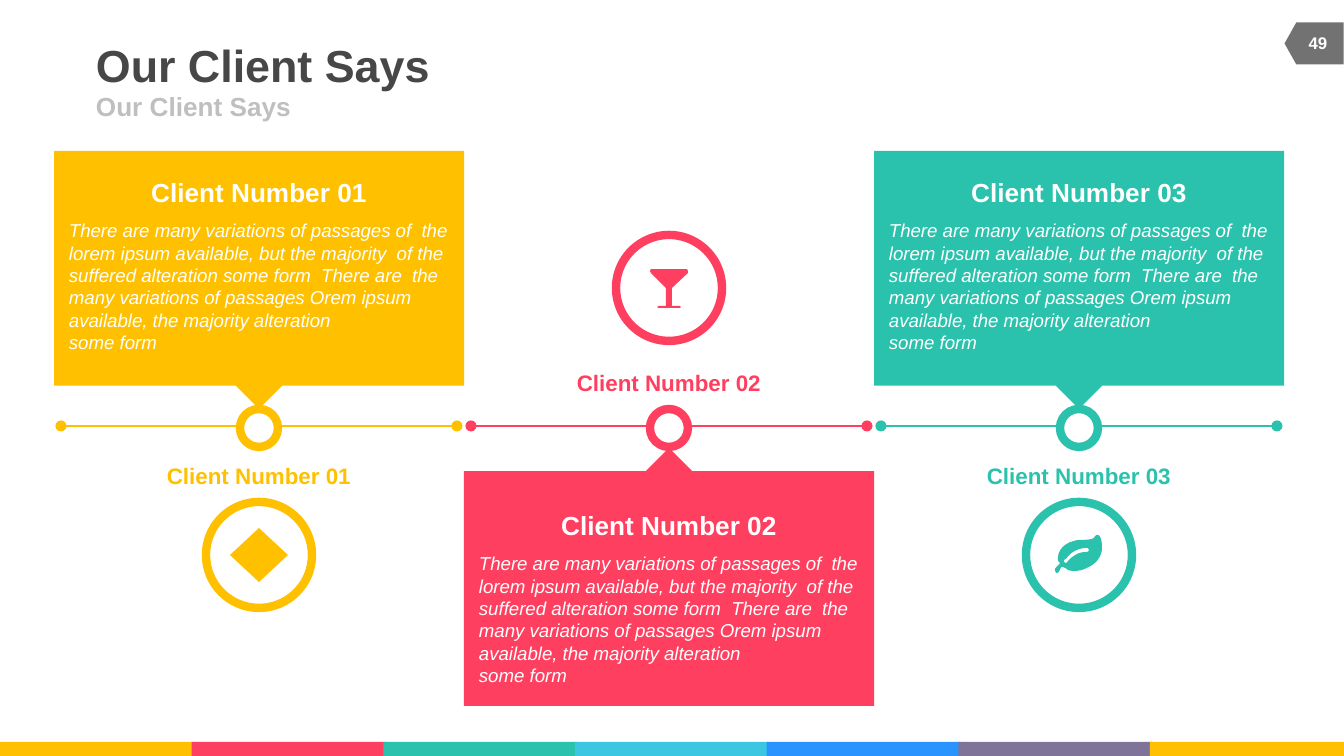
from pptx import Presentation
from pptx.dml.color import RGBColor
from pptx.enum.shapes import MSO_CONNECTOR, MSO_SHAPE
from pptx.enum.text import MSO_ANCHOR, PP_ALIGN
from pptx.oxml.ns import qn
from pptx.util import Pt
from lxml.etree import SubElement

SCALE = 914400 / 134.4
YELLOW, RED, TEAL, WHITE = "FFC000", "FF3F5F", "2AC2AC", "FFFFFF"
BAR_COLORS = [YELLOW, RED, TEAL, "3BC7E2", "2993FF", "7F739A", YELLOW]
QUOTE = (
    "There are many variations of passages of  the lorem ipsum available, "
    "but the majority  of the suffered alteration some form  There are  the "
    "many variations of passages Orem ipsum available, the majority alteration "
    "\vsome form"
)
GLASS = [(1, 0), (37, 0), (38, 2), (38, 4), (22, 19), (22, 37), (30, 37), (31, 38),
         (30, 39), (9, 39), (7, 38), (9, 37), (16, 37), (16, 19), (1, 4), (0, 2)]
LEAF_EDGE = [
    (47, 15), (46, 23), (41, 29), (32, 33), (28, 35), (24, 36), (20, 36),
    (18, 36), (15, 36), (13, 35), (12, 34), (9, 32), (7, 32),
    (5, 32), (5, 38), (2, 38), (1, 38), (0, 36), (0, 35),
    (0, 32), (5, 30), (5, 28), (5, 28), (3, 26), (3, 25),
    (3, 24), (3, 24), (3, 23), (3, 15), (10, 8), (19, 6),
    (24, 4), (35, 6), (39, 3), (40, 1), (41, 0), (43, 0),
    (46, 0), (47, 8), (47, 10), (47, 12), (47, 13), (47, 15),
]
LEAF_VEIN = [
    (32, 13), (23, 13), (16, 17), (11, 24), (10, 24), (9, 25), (9, 26),
    (9, 27), (10, 28), (11, 28), (12, 28), (13, 26), (15, 24),
    (21, 19), (25, 17), (32, 17), (33, 17), (34, 16), (34, 15),
    (34, 14), (33, 13), (32, 13),
]


def px(*values):
    """Turn px lengths into a list of EMU."""
    return [round(v * SCALE) for v in values]


def rgb(value):
    """Turn a hex string into a colour."""
    return RGBColor.from_string(value)


def paint(s, fill=None, line=None):
    """Set fill and ring line of a shape, and take its shadow off."""
    s.shadow.inherit = False
    if fill:
        s.fill.solid()
        s.fill.fore_color.rgb = rgb(fill)
    else:
        s.fill.background()
    if line:
        s.line.color.rgb = rgb(line)
        s.line.width = Pt(4.5)
    else:
        s.line.fill.background()
    return s


def add_shape(slide, kind, box, fill=None, line=None):
    """Add a painted preset shape."""
    return paint(slide.shapes.add_shape(kind, *px(*box)), fill, line)


def add_text(slide, box, text, size, color, align=PP_ALIGN.CENTER, bold=True,
             italic=False, wrap=False, anchor=MSO_ANCHOR.TOP, right=0):
    """Add a one-paragraph text box."""
    tf = slide.shapes.add_textbox(*px(*box)).text_frame
    tf.word_wrap = wrap
    tf.vertical_anchor = anchor
    tf.margin_left = tf.margin_top = tf.margin_bottom = 0
    tf.margin_right = px(right)[0]
    tf.text = text
    p = tf.paragraphs[0]
    p.alignment = align
    for r in p.runs:
        r.font.name = "Arial"
        r.font.size = Pt(size)
        r.font.bold = bold
        r.font.italic = italic
        r.font.color.rgb = rgb(color)


def add_timeline(slide, x1, x2, y, color):
    """Add a level line with a dot at each end."""
    s = slide.shapes.add_connector(MSO_CONNECTOR.STRAIGHT, *px(x1, y, x2, y))
    s.line.color.rgb = rgb(color)
    s.line.width = Pt(1.5)
    ln = s.line._get_or_add_ln()
    for end in ("a:headEnd", "a:tailEnd"):
        SubElement(ln, qn(end), type="oval")
    SubElement(s._element.spPr, qn("a:effectLst"))


def curve(points, steps=6):
    """Sample a chain of cubic curves."""
    result = [points[0]]
    for i in range(0, len(points) - 1, 3):
        for k in range(1, steps + 1):
            t = k / steps
            weights = ((1 - t) ** 3, 3 * t * (1 - t) ** 2, 3 * t * t * (1 - t), t ** 3)
            result.append(tuple(sum(w * p[axis] for w, p in zip(weights, points[i:i + 4]))
                                for axis in (0, 1)))
    return result


def add_outline(slide, x, y, contours, color):
    """Add a filled outline made of one or more contours."""
    grain = 100
    contours = [[(round(a * grain), round(b * grain)) for a, b in c] for c in contours]
    builder = slide.shapes.build_freeform(*contours[0][0], scale=SCALE / grain)
    for i, points in enumerate(contours):
        if i:
            builder.move_to(*points[0])
        builder.add_line_segments(points[1:], close=True)
    paint(builder.convert_to_shape(*px(x, y)), color)


def diamond_icon(slide, x, y, color):
    """Place a diamond in a 106 px ring."""
    add_shape(slide, MSO_SHAPE.DIAMOND, (x + 24, y + 26, 58, 54), color)


def glass_icon(slide, x, y, color):
    """Place a glass in a 106 px ring."""
    add_outline(slide, x + 34, y + 34, [GLASS], color)


def leaf_icon(slide, x, y, color):
    """Place a leaf in a 106 px ring."""
    add_outline(slide, x + 29, y + 33, [curve(LEAF_EDGE), curve(LEAF_VEIN)], color)


def client_column(slide, x, y, name, color, icon, below=False):
    """Build a 410 px wide client column, its quote above or below the line."""
    panel_y, label_y, icon_y, shift = (
        (y + 297, y + 218, y + 84, 36) if below else (y, y + 311, y + 351, 0))
    add_timeline(slide, x + 7, x + 403, y + 275, color)
    add_text(slide, (x + 85, label_y, 240, 27), name, 12, color)
    panel = add_shape(slide, MSO_SHAPE.DOWN_ARROW_CALLOUT, (x, panel_y, 410, 258), color)
    for i, value in enumerate((0.26, 0.09, 0.09, 0.91)):
        panel.adjustments[i] = value
    if below:
        panel._element.spPr.xfrm.set("flipV", "1")
    add_text(slide, (x + 85, panel_y + 25 + shift, 240, 32), name, 14, WHITE)
    add_text(slide, (x + 15, panel_y + 68 + shift, 392, 142), QUOTE, 10, WHITE,
             PP_ALIGN.LEFT, bold=False, italic=True, wrap=True, right=13)
    add_shape(slide, MSO_SHAPE.OVAL, (x + 186, y + 258, 38, 38), WHITE, color)
    add_shape(slide, MSO_SHAPE.OVAL, (x + 152, icon_y, 106, 106), line=color)
    icon(slide, x + 152, icon_y, color)


def color_bar(slide, x, y, width, height):
    """Build the strip of colours along the bottom."""
    segment = 194
    step = (width - segment) / (len(BAR_COLORS) - 1)
    for i, color in enumerate(BAR_COLORS):
        add_shape(slide, MSO_SHAPE.RECTANGLE, (x + i * step, y, segment, height), color)


def heading(slide, x, y):
    """Build the title and subtitle."""
    add_text(slide, (x, y, 829, 52), "Our Client Says", 24, "474747",
             PP_ALIGN.LEFT, anchor=MSO_ANCHOR.MIDDLE)
    add_text(slide, (x, y + 52, 605, 30), "Our Client Says", 14, "BFBFBF",
             PP_ALIGN.LEFT, anchor=MSO_ANCHOR.MIDDLE)


def page_tag(slide, x, y, number):
    """Build the page number tag, pointing left."""
    tag = add_shape(slide, MSO_SHAPE.FLOWCHART_OFFPAGE_CONNECTOR,
                    (x + 9, y - 8, 42, 59), "727272")
    tag.rotation = 90
    add_text(slide, (x + 6, y + 1, 56, 40), number, 9, WHITE, anchor=MSO_ANCHOR.MIDDLE)


def main():
    """Build and save the slide."""
    prs = Presentation()
    prs.slide_width, prs.slide_height = px(1344, 756)
    slide = prs.slides.add_slide(prs.slide_layouts[6])
    color_bar(slide, 0, 742, 1344, 14)
    page_tag(slide, 1284, 22, "49")
    heading(slide, 96, 39)
    clients = ((YELLOW, diamond_icon), (RED, glass_icon), (TEAL, leaf_icon))
    for i, (color, icon) in enumerate(clients):
        client_column(slide, 54 + i * 410, 151, f"Client Number {i + 1:02}",
                      color, icon, below=i == 1)
    prs.save("out.pptx")


if __name__ == "__main__":
    main()
